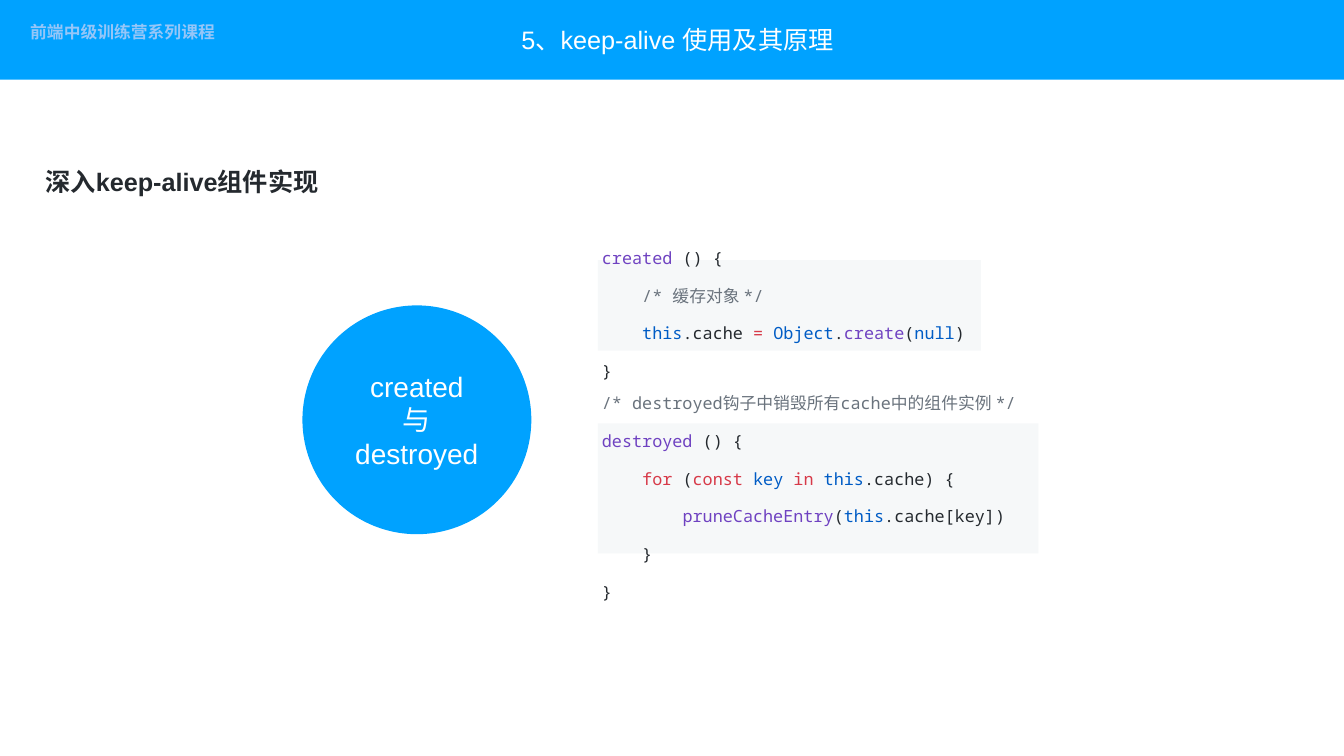
from pptx import Presentation
from pptx.dml.color import RGBColor
from pptx.enum.shapes import MSO_SHAPE as Shape
from pptx.enum.text import MSO_ANCHOR as Anchor, PP_ALIGN as Align
from pptx.util import Inches, Pt

COLORS = {
    "blue": "00A2FF", "pale": "95C6F8", "white": "FFFFFF", "panel": "F6F8F9",
    "ink": "24292E", "name": "6F42C1", "note": "6A737D",
    "value": "005CC5", "key": "D73A49",
}
SANS, MONO = "Arial", "Noto Sans Mono"
INDENT = 0.4

CREATED = [
    (0, [("created", "name"), (" () {", "ink")]),
    (1, [("/* 缓存对象 */", "note")]),
    (1, [("this", "value"), (".cache ", "ink"), ("= ", "key"), ("Object", "value"),
         (".", "ink"), ("create", "name"), ("(", "ink"), ("null", "value"), (")", "ink")]),
    (0, [("}", "ink")]),
]
DESTROYED = [
    (0, [("/* destroyed钩子中销毁所有cache中的组件实例 */", "note")]),
    (0, [("destroyed", "name"), (" () {", "ink")]),
    (1, [("for", "key"), (" (", "ink"), ("const ", "key"), ("key ", "value"),
         ("in ", "key"), ("this", "value"), (".cache) {", "ink")]),
    (2, [("pruneCacheEntry", "name"), ("(", "ink"), ("this", "value"), (".cache[key])", "ink")]),
    (1, [("}", "ink")]),
    (0, [("}", "ink")]),
]


def color(name):
    return RGBColor.from_string(COLORS[name])


def add_panel(page, kind, box, fill):
    panel = page.shapes.add_shape(kind, *map(Inches, box))
    panel.shadow.inherit = False
    panel.fill.solid()
    panel.fill.fore_color.rgb = color(fill)
    panel.line.fill.background()
    return panel


def set_frame(shape, anchor=Anchor.MIDDLE, wrap=True):
    frame = shape.text_frame
    frame.word_wrap = wrap
    frame.vertical_anchor = anchor
    frame.margin_left = frame.margin_right = Inches(0.04)
    frame.margin_top = frame.margin_bottom = Inches(0.04)
    return frame


def write_lines(frame, lines, size, font, align=Align.LEFT, bold=False, spacing=None):
    for index, (level, spans) in enumerate(lines):
        para = frame.paragraphs[0] if index == 0 else frame.add_paragraph()
        para.alignment = align
        if spacing:
            para.line_spacing = Pt(spacing)
        if level:
            properties = para._p.get_or_add_pPr()
            properties.set("marL", str(Inches(INDENT * level)))
            properties.set("indent", "0")
        for text, tint in spans:
            span = para.add_run()
            span.text = text
            span.font.size = Pt(size)
            span.font.name = font
            span.font.bold = bold
            span.font.color.rgb = color(tint)


def add_label(page, box, text, tint, size, anchor=Anchor.MIDDLE, wrap=True, **style):
    label = page.shapes.add_textbox(*map(Inches, box))
    frame = set_frame(label, anchor, wrap)
    write_lines(frame, [(0, [(text, tint)])], size, SANS, **style)
    return frame


def add_header(page, box):
    left, top, width, height = box
    add_panel(page, Shape.RECTANGLE, box, "blue")
    add_label(page, (left + 0.26, top + 0.16, 1.93, 0.31), "前端中级训练营系列课程",
              "pale", 12, wrap=False, bold=True)
    add_label(page, (left + 3.11, top + 0.06, 7.22, 0.66), "5、keep-alive 使用及其原理",
              "white", 18, align=Align.CENTER)


def add_heading(page, box):
    frame = add_label(page, box, "深入keep-alive组件实现", "ink", 18,
                      anchor=Anchor.TOP, bold=True, spacing=37)
    frame.paragraphs[0].space_before = Pt(11)


def add_code(page, box, lines):
    panel = add_panel(page, Shape.RECTANGLE, box, "panel")
    write_lines(set_frame(panel, wrap=False), lines, 12, MONO, spacing=27)


def add_topic(page, box, words):
    circle = add_panel(page, Shape.OVAL, box, "blue")
    lines = [(0, [(word, "white")]) for word in words]
    write_lines(set_frame(circle), lines, 20, SANS, align=Align.CENTER)


def main():
    deck = Presentation()
    deck.slide_width, deck.slide_height = Inches(13.33), Inches(7.5)
    page = deck.slides.add_slide(deck.slide_layouts[6])
    add_header(page, (0, 0, 13.33, 0.79))
    add_heading(page, (0.41, 1.4, 12.51, 0.8))
    add_code(page, (5.93, 2.58, 3.8, 0.9), CREATED)
    add_code(page, (5.93, 4.2, 4.37, 1.29), DESTROYED)
    add_topic(page, (3, 3.03, 2.27, 2.27), ["created", "与", "destroyed"])
    deck.save("out.pptx")


if __name__ == "__main__":
    main()
